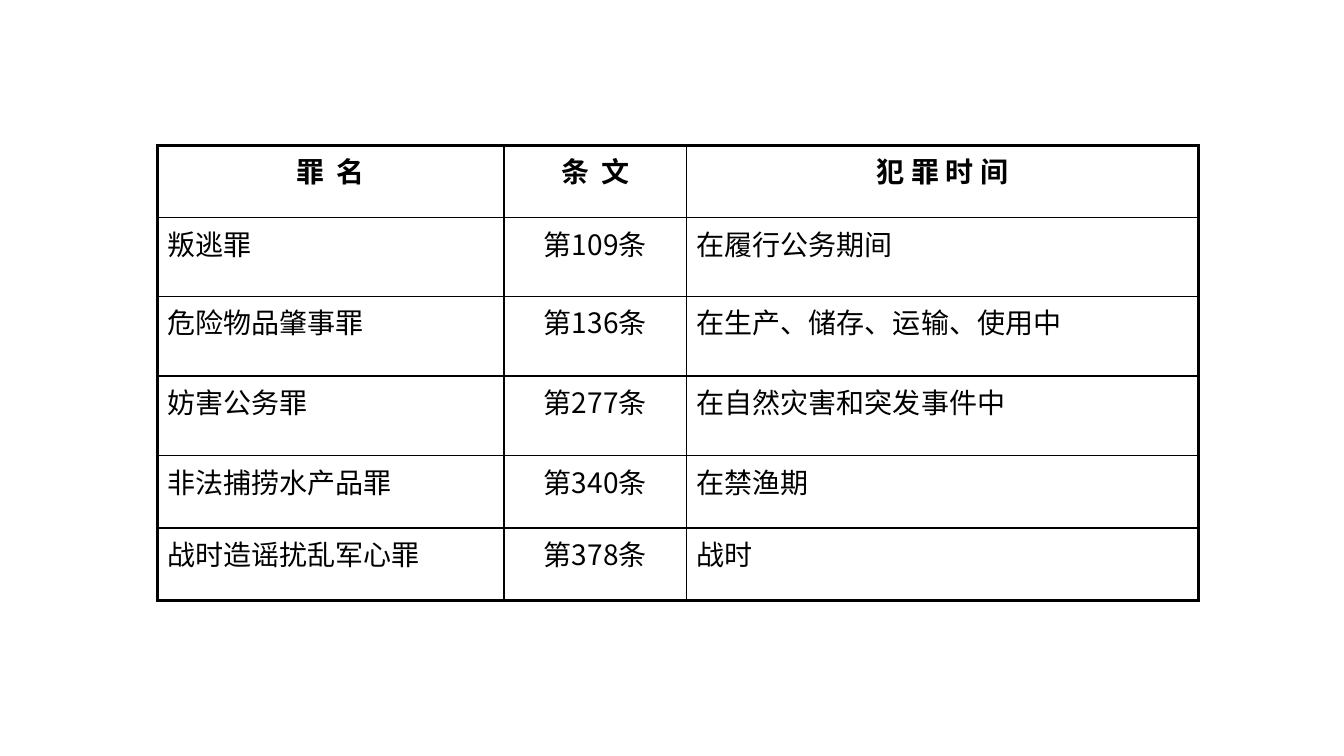
"""Build a slide with a table of crimes, articles and times of offence."""
from lxml import etree
from pptx import Presentation
from pptx.dml.color import RGBColor
from pptx.enum.text import MSO_ANCHOR, PP_ALIGN
from pptx.oxml.ns import qn
from pptx.util import Inches, Pt

LEFT, CENTER, TOP = PP_ALIGN.LEFT, PP_ALIGN.CENTER, MSO_ANCHOR.TOP
COLORS = {"ink": "000000"}
FONT = "Noto Sans CJK SC"
THIN, THICK = 1, 2.25

col_widths = [3.44, 1.81, 5.08]
row_heights = [0.72, 0.78, 0.79, 0.79, 0.72, 0.72]
rows = [
    ("罪 名", "条 文", "犯 罪 时 间"),
    ("叛逃罪", "第109条", "在履行公务期间"),
    ("危险物品肇事罪", "第136条", "在生产、储存、运输、使用中"),
    ("妨害公务罪", "第277条", "在自然灾害和突发事件中"),
    ("非法捕捞水产品罪", "第340条", "在禁渔期"),
    ("战时造谣扰乱军心罪", "第378条", "战时"),
]
last_row, last_col = len(rows) - 1, len(col_widths) - 1


def add_border(cell, side, width):
    ln = etree.SubElement(cell._tc.get_or_add_tcPr(), qn(f"a:ln{side}"), w=str(Pt(width)))
    fill = etree.SubElement(ln, qn("a:solidFill"))
    etree.SubElement(fill, qn("a:srgbClr"), val=COLORS["ink"])


prs = Presentation()
prs.slide_width, prs.slide_height = Inches(13.33), Inches(7.5)
s = prs.slides.add_slide(prs.slide_layouts[6])

table = s.shapes.add_table(
    len(rows), len(col_widths), Inches(1.56), Inches(1.44),
    Inches(sum(col_widths)), Inches(sum(row_heights)),
).table
table.first_row = table.horz_banding = False
for col, width in zip(table.columns, col_widths):
    col.width = Inches(width)
for row, height in zip(table.rows, row_heights):
    row.height = Inches(height)

for i, texts in enumerate(rows):
    for j, text in enumerate(texts):
        cell = table.cell(i, j)
        outer = {"L": j == 0, "R": j == last_col, "T": i == 0, "B": i == last_row}
        for side, is_outer in outer.items():
            add_border(cell, side, THICK if is_outer else THIN)
        cell.fill.background()
        cell.vertical_anchor = TOP

        p = cell.text_frame.paragraphs[0]
        p.alignment = CENTER if i == 0 or j == 1 else LEFT
        r = p.add_run()
        r.text = text
        for name, value in {"name": FONT, "size": Pt(20), "bold": i == 0}.items():
            setattr(r.font, name, value)
        r.font.color.rgb = RGBColor.from_string(COLORS["ink"])
        rPr = r._r.get_or_add_rPr()
        etree.SubElement(rPr, qn("a:ea"), typeface=FONT)
        if i == 0 and j < last_col:
            rPr.set("spc", "220")

prs.save("out.pptx")
